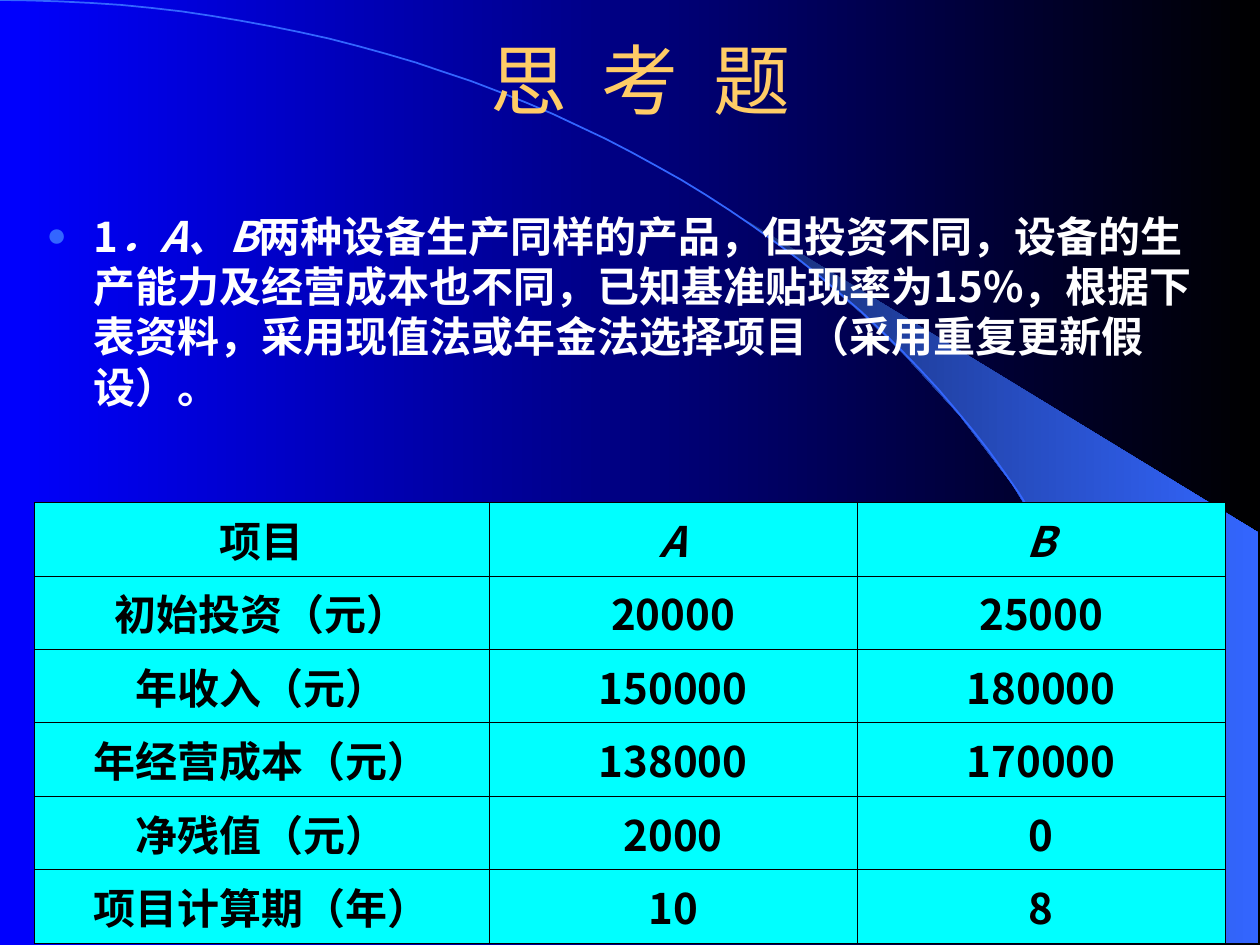
import math
from dataclasses import dataclass

from lxml import etree
from pptx import Presentation
from pptx.dml import color
from pptx.enum import text
from pptx.oxml import ns
from pptx.util import Cm, Pt


@dataclass(frozen=True)
class Theme:
    """Colours, fonts and type sizes of the slide."""
    blue: str = "0000FF"
    black: str = "000000"
    white: str = "FFFFFF"
    gold: str = "FFCC66"
    accent: str = "3366FF"
    shade: str = "182F76"
    cyan: str = "00FFFF"
    title_font: str = "Times New Roman"
    body_font: str = "Noto Sans CJK SC"
    title_size: int = 44
    body_size: int = 24


THEME = Theme()
ARC_RX, ARC_RY, ARC_STEPS = 23.37, 19.02, 60
FAN = [
    (23.37, 19), (25.37, 19.02), (25.37, 10.74), (14.96, 4.39), (15.85, 5.05),
    (16.59, 5.64), (17.4, 6.35), (18.19, 7.11), (19.35, 8.38), (20.4, 9.75),
    (21.13, 10.95), (21.79, 12.17), (22.3, 13.41), (22.68, 14.53),
    (22.94, 15.47), (23.19, 16.66), (23.29, 17.68),
]
QUESTION = [
    ("1", False),
    ("．A、B", True),
    ("两种设备生产同样的产品，但投资不同，设备的生产能力及经营成本也不同，"
     "已知基准贴现率为15%，根据下表资料，采用现值法或年金法选择项目"
     "（采用重复更新假设）。", False),
]
ROWS = [
    ("项目", "A", "B"),
    ("初始投资（元）", "20000", "25000"),
    ("年收入（元）", "150000", "180000"),
    ("年经营成本（元）", "138000", "170000"),
    ("净残值（元）", "2000", "0"),
    ("项目计算期（年）", "10", "8"),
]
COLUMN_WIDTHS = (9.17, 7.42, 7.42)
ROW_HEIGHT = 1.48


def rgb(value):
    """Turn a hex string into a colour."""
    return color.RGBColor.from_string(value)


def add_xml(parent, tag, **attrs):
    """Append a DrawingML element and return it."""
    return etree.SubElement(parent, ns.qn(tag), attrs)


def set_gradient(fill, start, end):
    """Fill with a left-to-right gradient."""
    fill.gradient()
    fill.gradient_angle = 0
    for stop, value in zip(fill.gradient_stops, (start, end)):
        stop.color.rgb = rgb(value)


def set_font(font, name, size, value, bold=False):
    """Set typeface, size, colour and weight for Latin and Chinese text."""
    font.name, font.size, font.bold = name, Pt(size), bold
    font.color.rgb = rgb(value)
    font._element.find(ns.qn("a:latin")).addnext(
        etree.Element(ns.qn("a:ea"), typeface=THEME.body_font))


def add_freeform(s, points, close):
    """Draw an outline through points given in centimetres."""
    grid = [(x * 100, y * 100) for x, y in points]
    builder = s.shapes.build_freeform(*grid[0], scale=Cm(0.01))
    builder.add_line_segments(grid[1:], close=close)
    shape = builder.convert_to_shape()
    shape.shadow.inherit = False
    return shape


def add_backdrop(s):
    """Draw the gradient background, the fan and the arc."""
    set_gradient(s.background.fill, THEME.blue, THEME.black)
    fan = add_freeform(s, FAN, True)
    set_gradient(fan.fill, THEME.shade, THEME.accent)
    fan.line.fill.background()
    angles = [math.pi / 2 * i / ARC_STEPS for i in range(ARC_STEPS + 1)]
    arc = add_freeform(s, [(ARC_RX * math.sin(a), ARC_RY * (1 - math.cos(a)))
                           for a in angles], False)
    arc.fill.background()
    arc.line.color.rgb = rgb(THEME.accent)
    arc.line.width = Pt(1)


def add_text_box(s, left, top, width, height):
    """Add a wrapping text box and return its text frame."""
    tf = s.shapes.add_textbox(Cm(left), Cm(top), Cm(width), Cm(height)).text_frame
    tf.word_wrap = True
    return tf


def add_title(s):
    """Add the centred title."""
    tf = add_text_box(s, 2.12, 0, 21.59, 3.18)
    tf.vertical_anchor = text.MSO_ANCHOR.MIDDLE
    p = tf.paragraphs[0]
    p.text = "思  考  题"
    p.alignment = text.PP_ALIGN.CENTER
    set_font(p.font, THEME.title_font, THEME.title_size, THEME.gold)


def add_question(s):
    """Add the bulleted question."""
    p = add_text_box(s, 0.69, 4.11, 24, 4.6).paragraphs[0]
    pPr = p._p.get_or_add_pPr()
    pPr.set("marL", str(Cm(0.95)))
    pPr.set("indent", str(-Cm(0.95)))
    add_xml(add_xml(pPr, "a:buClr"), "a:srgbClr", val=THEME.accent)
    add_xml(pPr, "a:buSzPct", val="80000")
    add_xml(pPr, "a:buFont", typeface=THEME.title_font)
    add_xml(pPr, "a:buChar", char="●")
    set_font(p.font, THEME.body_font, THEME.body_size, THEME.white, True)
    for content, italic in QUESTION:
        r = p.add_run()
        r.text, r.font.italic = content, italic


def add_borders(cell):
    """Give a cell thin black borders."""
    tcPr = cell._tc.get_or_add_tcPr()
    for side in "LRTB":
        ln = add_xml(tcPr, f"a:ln{side}", w=str(Pt(0.45)))
        add_xml(add_xml(ln, "a:solidFill"), "a:srgbClr", val=THEME.black)


def add_data_table(s):
    """Add the table that compares both machines."""
    table = s.shapes.add_table(
        len(ROWS), len(COLUMN_WIDTHS), Cm(0.69), Cm(10.13),
        Cm(sum(COLUMN_WIDTHS)), Cm(ROW_HEIGHT * len(ROWS))).table
    table.first_row = table.horz_banding = False
    for column, width in zip(table.columns, COLUMN_WIDTHS):
        column.width = Cm(width)
    for row, values in zip(table.rows, ROWS):
        row.height = Cm(ROW_HEIGHT)
        for cell, value in zip(row.cells, values):
            add_borders(cell)
            cell.fill.solid()
            cell.fill.fore_color.rgb = rgb(THEME.cyan)
            p = cell.text_frame.paragraphs[0]
            p.text = value
            p.alignment = text.PP_ALIGN.CENTER
            set_font(p.font, THEME.body_font, THEME.body_size, THEME.black, True)
            p.font.italic = value in ("A", "B")


def main():
    """Build and save the slide."""
    prs = Presentation()
    prs.slide_width, prs.slide_height = Cm(25.4), Cm(19.05)
    s = prs.slides.add_slide(prs.slide_layouts[6])
    add_backdrop(s)
    add_title(s)
    add_question(s)
    add_data_table(s)
    prs.save("out.pptx")


if __name__ == "__main__":
    main()
